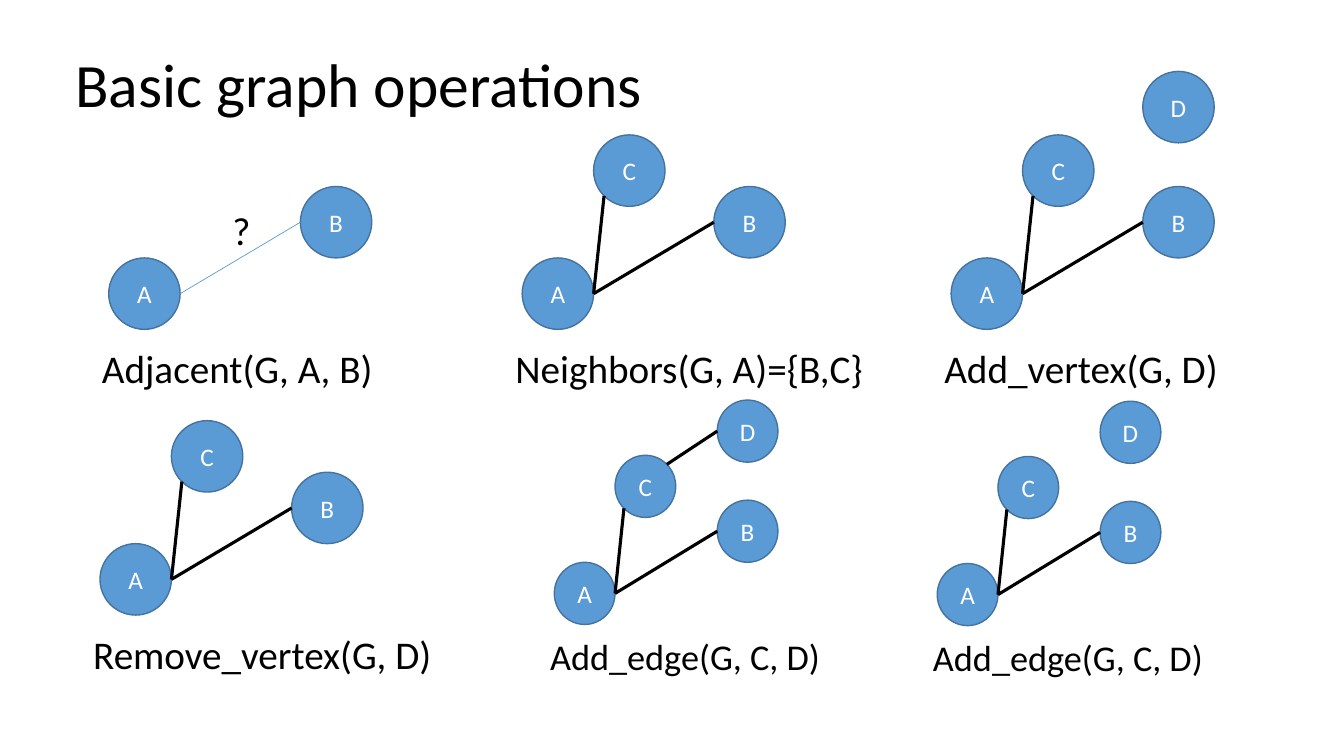
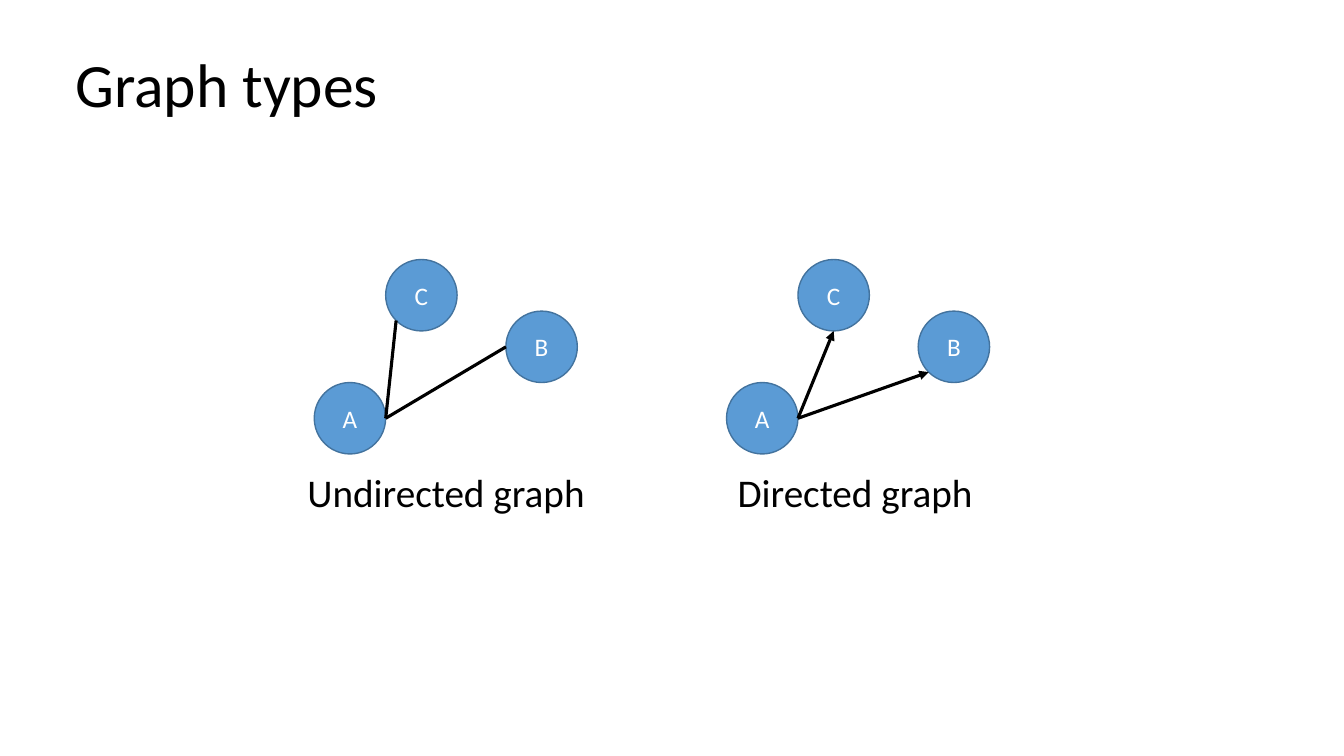
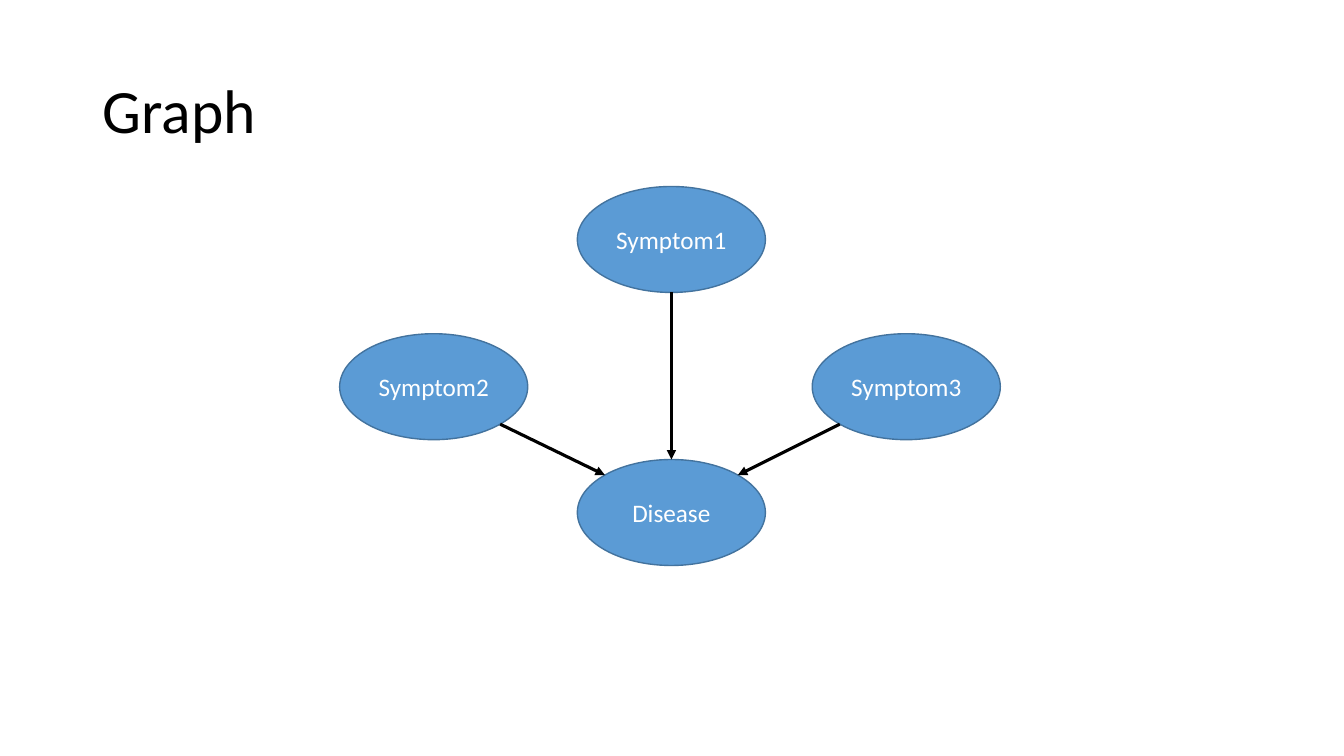
import math

import pptx
import pptx.dml.color
import pptx.enum.shapes
import pptx.enum.text
import pptx.util
from lxml import etree

Cm, Pt = pptx.util.Cm, pptx.util.Pt
ALIGN = pptx.enum.text.PP_ALIGN
ANCHOR = pptx.enum.text.MSO_ANCHOR
BLACK, WHITE, BLUE, EDGE = "000000", "FFFFFF", "5B9BD5", "43739E"
FONT = "Calibri"

SPOTS = {"A": (0, 0), "B": (4.83, -1.8), "C": (1.8, -3.1), "D": (4.83, -4.7)}
ANGLES = {"right": 0, "low right": 45, "low": 90, "low left": 135,
          "left": 180, "top left": 225, "top": 270, "top right": 315}
BIG = {"wide": 1, "high": 1, "size": 28, "gap": 0.9}
SMALL = {"wide": 0.85, "high": 0.87, "size": 25.9, "gap": 0.8}

AB = ("A", "right", "B", "left")
AC = ("A", "right", "C", "low left")
CD = ("C", "top right", "D", "left")
THIN = {"color": BLUE, "width": 0.5}
ARROW = {"arrow": True}

DECK = [
    ("Basic graph operations", (1.65, 0.36), [
        ("Adjacent(G, A, B)", 7.47, (2.74, 6.5), BIG, "AB", [AB], THIN),
        ("Neighbors(G, A)={B,C}", 10.62, (13.16, 6.5), BIG, "ABC", [AB, AC], {}),
        ("Add_vertex(G, D)", 7.7, (23.97, 6.5), BIG, "ABCD", [AB, AC], {}),
        ("Remove_vertex(G, D)", 9.22, (2.52, 13.7), BIG, "ABC", [AB, AC], {}),
        ("Add_edge(G, C, D)", 7.34, (23.62, 14.2), SMALL, "ABCD", [AB, AC], {}),
        ("Add_edge(G, C, D)", 7.34, (13.97, 14.17), SMALL, "ABCD", [AB, AC, CD], {}),
    ]),
    ("Graph types", (1.65, 0.36), [
        ("Undirected graph", 7.62, (7.92, 9.64), BIG, "ABC", [AB, AC], {}),
        ("Directed graph", 6.58, (18.31, 9.64), BIG, "ABC",
         [("A", "right", "C", "low"), ("A", "right", "B", "low left")], ARROW),
    ]),
    ("Graph", (2.34, 1.02), []),
]
SHIFT = {"Directed graph": 0.45}
MARK = ("?", (5.61, 5.21), 0.89)

CAUSES = {"Symptom1": (14.55, 4.7), "Symptom2": (8.56, 8.41),
          "Symptom3": (20.47, 8.41), "Disease": (14.55, 11.58)}
LINKS = [("Symptom2", "low right", "Disease", "top left"),
         ("Symptom1", "low", "Disease", "top"),
         ("Symptom3", "low left", "Disease", "top right")]


def rgb(code):
    """Turn a hex string into a colour."""
    return pptx.dml.color.RGBColor.from_string(code)


def write(frame, text, size, color=BLACK, align=ALIGN.LEFT):
    """Put one run in a frame and return its paragraph."""
    para = frame.paragraphs[0]
    para.alignment = align
    run = para.add_run()
    run.text = text
    run.font.size = Pt(size)
    run.font.name = FONT
    run.font.color.rgb = rgb(color)
    return para


def label(shapes, text, box, size, gap=0.9, before=0, anchor=ANCHOR.TOP):
    """Add a plain text box."""
    frame = shapes.add_textbox(*map(Cm, box)).text_frame
    frame.word_wrap = True
    frame.vertical_anchor = anchor
    para = write(frame, text, size)
    para.line_spacing = gap
    para.space_before = Pt(before)


def node(shapes, text, box):
    """Add a named ellipse."""
    oval = shapes.add_shape(pptx.enum.shapes.MSO_SHAPE.OVAL, *map(Cm, box))
    oval.shadow.inherit = False
    oval.fill.solid()
    oval.fill.fore_color.rgb = rgb(BLUE)
    oval.line.color.rgb = rgb(EDGE)
    oval.line.width = Pt(1)
    oval.text_frame.word_wrap = True
    oval.text_frame.vertical_anchor = ANCHOR.MIDDLE
    write(oval.text_frame, text, 18, WHITE, ALIGN.CENTER)


def rim(box, side):
    """Find a point on the rim of an ellipse."""
    left, top, wide, high = box
    turn = math.radians(ANGLES[side])
    return (Cm(left + wide / 2 * (1 + math.cos(turn))),
            Cm(top + high / 2 * (1 + math.sin(turn))))


def link(shapes, start, end, color=BLACK, width=2.25, arrow=False):
    """Draw a straight line between two points."""
    kind = pptx.enum.shapes.MSO_CONNECTOR.STRAIGHT
    line = shapes.add_connector(kind, *start, *end)
    line.line.color.rgb = rgb(color)
    line.line.width = Pt(width)
    props = line._element.spPr
    space = "{" + props.nsmap["a"] + "}"
    if arrow:
        etree.SubElement(line.line._get_or_add_ln(), space + "tailEnd", type="triangle")
    etree.SubElement(props, space + "effectLst")


def net(shapes, boxes, edges, style):
    """Draw nodes and the edges between them."""
    for name, box in boxes.items():
        node(shapes, name, box)
    for first, out, last, into in edges:
        link(shapes, rim(boxes[first], out), rim(boxes[last], into), **style)


def graph(slide, text, width, base, scale, names, edges, style):
    """Draw one captioned graph as a group."""
    shapes = slide.shapes.add_group_shape().shapes
    left, top = base
    wide, high = scale["wide"], scale["high"]
    spot = (left - 0.42 * wide + SHIFT.get(text, 0), top + 2.18 * high,
            width, 1.42 * high)
    label(shapes, text, spot, scale["size"], scale["gap"], 10)
    boxes = {}
    for name in names:
        across, down = SPOTS[name]
        boxes[name] = (left + across * wide, top + down * high, 1.8 * wide, 1.8 * high)
    net(shapes, boxes, edges, style)
    if style is THIN:
        sign, place, span = MARK
        label(shapes, sign, (*place, span, 1.42), 28, before=10)


def main():
    """Build and save the deck."""
    deck = pptx.Presentation()
    deck.slide_width, deck.slide_height = Cm(33.87), Cm(19.05)
    for title, place, graphs in DECK:
        slide = deck.slides.add_slide(deck.slide_layouts[6])
        label(slide.shapes, title, (*place, 29.21, 3.68), 44, anchor=ANCHOR.MIDDLE)
        for item in graphs:
            graph(slide, *item)
    ovals = {name: (*place, 4.74, 2.67) for name, place in CAUSES.items()}
    net(slide.shapes, ovals, LINKS, ARROW)
    deck.save("out.pptx")


if __name__ == "__main__":
    main()
